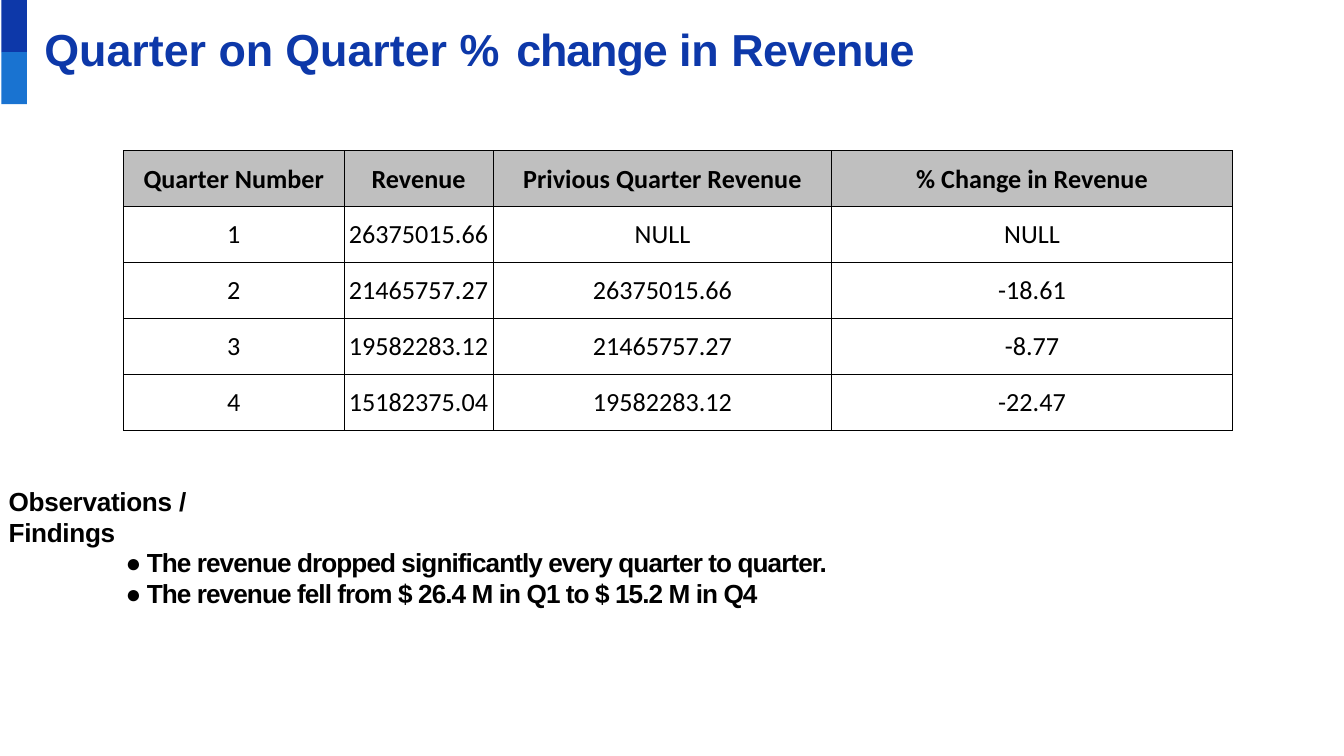
from dataclasses import dataclass
from typing import NamedTuple

from lxml.etree import SubElement
from pptx import Presentation
from pptx.dml.color import RGBColor
from pptx.enum.shapes import MSO_SHAPE
from pptx.enum.text import MSO_ANCHOR, MSO_AUTO_SIZE, PP_ALIGN
from pptx.oxml.ns import qn
from pptx.util import Emu, Inches, Pt

WIDE = Inches(10)
HIGH = Emu(WIDE * 9 // 16)


@dataclass(frozen=True)
class Theme:
    navy: str = "0D38A9"
    blue: str = "1973D1"
    grey: str = "BFBFBF"
    black: str = "000000"
    sans: str = "Arial"
    grid: str = "Calibri"
    head: float = 24
    body: float = 14
    rule: float = 0.5


class Box(NamedTuple):
    """Left, top, width and height in percent of the slide."""
    x: float
    y: float
    w: float
    h: float

    def emu(self) -> tuple:
        return (Emu(round(WIDE * self.x / 100)), Emu(round(HIGH * self.y / 100)),
                Emu(round(WIDE * self.w / 100)), Emu(round(HIGH * self.h / 100)))


class Span(NamedTuple):
    """Text and its letter spacing in points."""
    text: str
    gap: float = 0


class Bar(NamedTuple):
    box: Box
    fill: str


THEME = Theme()
BARS = [Bar(Box(0.1, 6.9 * row, 1.9, 6.9), fill)
        for row, fill in enumerate((THEME.navy, THEME.blue))]

TITLE = [[Span("Quarter "), Span("on ", -0.1), Span("Quarter "), Span("% ", 1.2),
          Span("change ", -0.6), Span("in "), Span("Revenue", -0.3)]]
LABEL = [[Span("Observations ", -0.2), Span("/ ", 0.5), Span("Findings", -0.2)]]
NOTES = [[Span("● The revenue dropped significantly every quarter to quarter.", -0.5)],
         [Span("● The revenue fell from $ 26.4 M in Q1 to $ 15.2 M in Q4", -0.5)]]

COLS = (1.64, 1.11, 2.52, 2.98)
HEADS = ("Quarter Number", "Revenue", "Privious Quarter Revenue", "% Change in Revenue")
SALES = ("26375015.66", "21465757.27", "19582283.12", "15182375.04")
SHIFT = ("NULL", "-18.61", "-8.77", "-22.47")
ROWS = [HEADS] + [(str(num), now, past, move) for num, (now, past, move)
                  in enumerate(zip(SALES, ("NULL",) + SALES, SHIFT), 1)]


def write(frame, lines: list, *, size: float = THEME.body, font: str = THEME.sans,
          color: str = THEME.black, bold: bool = True,
          align: PP_ALIGN = PP_ALIGN.LEFT, before: float = 0) -> None:
    """Fill a text frame, one paragraph per list of spans."""
    for row, spans in enumerate(lines):
        para = frame.add_paragraph() if row else frame.paragraphs[0]
        para.alignment = align
        para.space_before = Pt(0 if row else before)
        for span in spans:
            run = para.add_run()
            run.text = span.text
            run.font.size, run.font.name, run.font.bold = Pt(size), font, bold
            run.font.color.rgb = RGBColor.from_string(color)
            if span.gap:
                run.font._element.set("spc", str(round(span.gap * 100)))


def fit(shape, box: Box, top: float = 0) -> None:
    """Place a text shape and set its margins."""
    shape.left, shape.top, shape.width, shape.height = box.emu()
    frame = shape.text_frame
    frame.word_wrap = True
    frame.auto_size = MSO_AUTO_SIZE.NONE
    frame.vertical_anchor = MSO_ANCHOR.TOP
    frame.margin_left = Inches(0.01)
    frame.margin_right = frame.margin_bottom = 0
    frame.margin_top = Inches(top)


def draw_bar(slide, bar: Bar) -> None:
    shape = slide.shapes.add_shape(MSO_SHAPE.RECTANGLE, *bar.box.emu())
    shape.shadow.inherit = False
    shape.fill.solid()
    shape.fill.fore_color.rgb = RGBColor.from_string(bar.fill)
    shape.line.fill.background()


def draw_text(slide, box: Box, lines: list, top: float = 0, before: float = 0) -> None:
    shape = slide.shapes.add_textbox(*box.emu())
    fit(shape, box, top)
    write(shape.text_frame, lines, before=before)


def edge(cell) -> None:
    """Rule all four sides of a cell."""
    props = cell._tc.get_or_add_tcPr()
    for spot, side in enumerate(("a:lnL", "a:lnR", "a:lnT", "a:lnB")):
        line = SubElement(props, qn(side), w=str(Pt(THEME.rule)))
        fill = SubElement(line, qn("a:solidFill"))
        SubElement(fill, qn("a:srgbClr"), val=THEME.black)
        props.insert(spot, line)


def draw_table(slide, box: Box, rows: list) -> None:
    table = slide.shapes.add_table(len(rows), len(COLS), *box.emu()).table
    table.horz_banding = False
    for col, width in zip(table.columns, COLS):
        col.width = Inches(width)
    for r, row in enumerate(rows):
        for c, text in enumerate(row):
            cell = table.cell(r, c)
            cell.vertical_anchor = MSO_ANCHOR.MIDDLE
            cell.margin_left = cell.margin_right = cell.margin_top = Inches(0.01)
            cell.margin_bottom = 0
            if r:
                cell.fill.background()
            else:
                cell.fill.solid()
                cell.fill.fore_color.rgb = RGBColor.from_string(THEME.grey)
            edge(cell)
            write(cell.text_frame, [[Span(text)]], font=THEME.grid,
                  bold=r == 0, align=PP_ALIGN.CENTER)


def main() -> None:
    deck = Presentation()
    deck.slide_width, deck.slide_height = WIDE, HIGH
    slide = deck.slides.add_slide(deck.slide_layouts[5])
    for bar in BARS:
        draw_bar(slide, bar)
    title = slide.shapes.title
    fit(title, Box(3.2, 2.67, 70.1, 7.64), top=0.01)
    write(title.text_frame, TITLE, size=THEME.head, color=THEME.navy, before=1)
    draw_text(slide, Box(0.55, 63.85, 21, 5.16), LABEL, top=0.02, before=1.1)
    draw_text(slide, Box(9.25, 72.25, 64.7, 11.38), NOTES, before=0.1)
    draw_table(slide, Box(9.2, 19.9, 82.5, 37), ROWS)
    deck.save("out.pptx")


if __name__ == "__main__":
    main()
